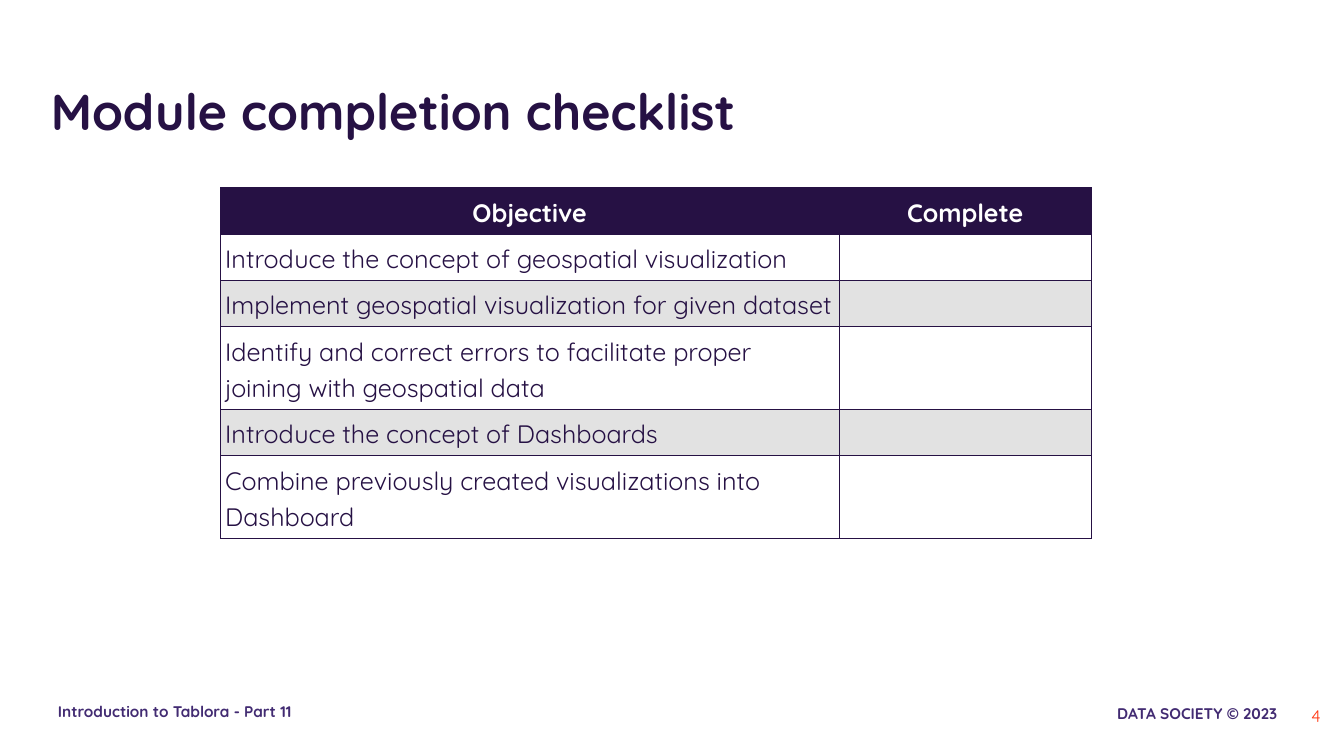
from lxml import etree
from pptx import Presentation
from pptx.dml.color import RGBColor
from pptx.enum import text
from pptx.oxml.ns import qn
from pptx.util import Cm, Pt

INDIGO = RGBColor(0x26, 0x11, 0x44)
VIOLET = RGBColor(0x42, 0x2B, 0x72)
ORANGE = RGBColor(0xFF, 0x35, 0x0F)
GREY = RGBColor(0xE2, 0xE2, 0xE2)
WHITE = RGBColor(0xFF, 0xFF, 0xFF)
FONT = "Quicksand"

SLIDE_WIDTH, SLIDE_HEIGHT = 67.74, 38.1
HEADINGS = ("Objective", "Complete")
OBJECTIVES = (
    ("Introduce the concept of geospatial visualization", 1),
    ("Implement geospatial visualization for given dataset", 1),
    ("Identify and correct errors to facilitate proper joining with geospatial data", 2),
    ("Introduce the concept of Dashboards", 1),
    ("Combine previously created visualizations into Dashboard", 2),
)
ROW_HEIGHTS = {1: 2.33, 2: 4.17}
OBJECTIVE_SHARE = 0.71


def style_paragraph(paragraph, size, color, bold=False, align=text.PP_ALIGN.LEFT):
    paragraph.alignment = align
    paragraph.font.name = FONT
    paragraph.font.size = Pt(size)
    paragraph.font.bold = bold
    paragraph.font.color.rgb = color
    for run in paragraph.runs:
        run.font.name = FONT
        run.font.size = Pt(size)
        run.font.bold = bold
        run.font.color.rgb = color


def add_label(slide, box, wording, size, color, bold=True, align=text.PP_ALIGN.LEFT,
              anchor=text.MSO_ANCHOR.TOP, insets=(0.25, 0.13)):
    frame = slide.shapes.add_textbox(*map(Cm, box)).text_frame
    frame.word_wrap = True
    frame.vertical_anchor = anchor
    frame.margin_left = frame.margin_right = Cm(insets[0])
    frame.margin_top = frame.margin_bottom = Cm(insets[1])
    frame.text = wording
    style_paragraph(frame.paragraphs[0], size, color, bold, align)


def border_cell(cell):
    properties = cell._tc.get_or_add_tcPr()
    for position, side in enumerate(("a:lnL", "a:lnR", "a:lnT", "a:lnB")):
        line = etree.Element(qn(side), w=str(Pt(0.75)))
        fill = etree.SubElement(line, qn("a:solidFill"))
        etree.SubElement(fill, qn("a:srgbClr"), val=str(INDIGO))
        properties.insert(position, line)


def fill_cell(cell, wording, background, color, bold, align):
    cell.margin_left = cell.margin_right = Cm(0.25)
    cell.margin_top = cell.margin_bottom = Cm(0.25)
    cell.fill.solid()
    cell.fill.fore_color.rgb = background
    border_cell(cell)
    cell.text = wording
    paragraph = cell.text_frame.paragraphs[0]
    paragraph.line_spacing = 1.15
    style_paragraph(paragraph, 36, color, bold, align)


def add_checklist(slide, left, top, width):
    heights = [ROW_HEIGHTS[1]] + [ROW_HEIGHTS[lines] for _, lines in OBJECTIVES]
    checklist = slide.shapes.add_table(
        len(heights), len(HEADINGS), Cm(left), Cm(top), Cm(width), Cm(sum(heights))).table
    checklist.first_row = False
    checklist.horz_banding = False
    for column, share in zip(checklist.columns, (OBJECTIVE_SHARE, 1 - OBJECTIVE_SHARE)):
        column.width = Cm(width * share)
    for row, height in zip(checklist.rows, heights):
        row.height = Cm(height)
    for column, heading in enumerate(HEADINGS):
        fill_cell(checklist.cell(0, column), heading, INDIGO, WHITE, True, text.PP_ALIGN.CENTER)
    for row, (objective, _) in enumerate(OBJECTIVES, 1):
        background = WHITE if row % 2 else GREY
        for column, wording in enumerate((objective, "")):
            fill_cell(checklist.cell(row, column), wording, background, INDIGO, False,
                      text.PP_ALIGN.LEFT)


def add_footer(slide, left, top, width, height):
    add_label(slide, (left, top - 0.1, 13.92, height), "Introduction to Tablora - Part 11",
              22, VIOLET, insets=(0.61, 0.61))
    add_label(slide, (left + width - 13.12, top, 11.28, height), "DATA SOCIETY © 2023",
              22, VIOLET, align=text.PP_ALIGN.RIGHT, insets=(0.61, 0.61))
    add_label(slide, (left + width - 4.06, top, 4.06, height), "4", 24, ORANGE, bold=False,
              align=text.PP_ALIGN.RIGHT, anchor=text.MSO_ANCHOR.MIDDLE)


def main():
    presentation = Presentation()
    presentation.slide_width = Cm(SLIDE_WIDTH)
    presentation.slide_height = Cm(SLIDE_HEIGHT)
    slide = presentation.slides.add_slide(presentation.slide_layouts[6])
    add_label(slide, (2.31, 2.97, 63.12, 4.24), "Module completion checklist", 72, INDIGO,
              anchor=text.MSO_ANCHOR.BOTTOM)
    add_checklist(slide, 11.1, 9.45, 43.92)
    add_footer(slide, 2.31, 35, 64.51, 2.16)
    presentation.save("out.pptx")


if __name__ == "__main__":
    main()
